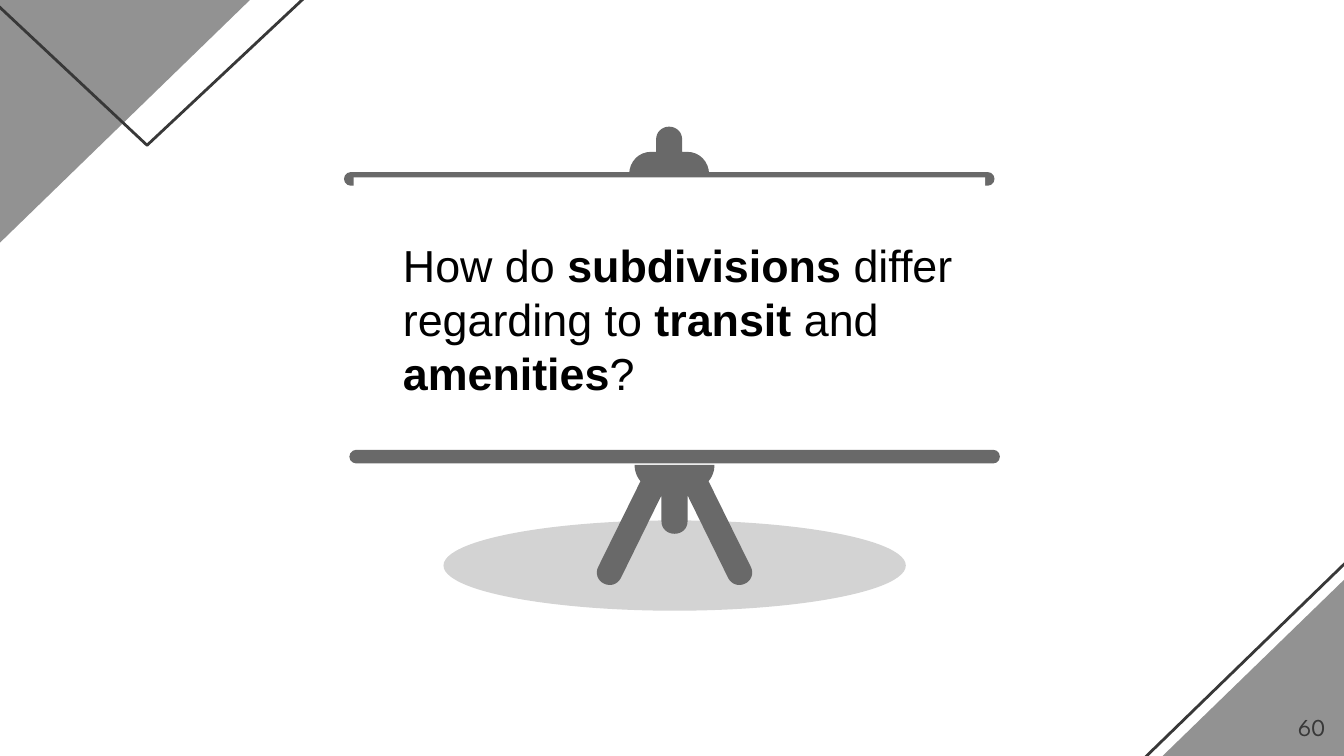
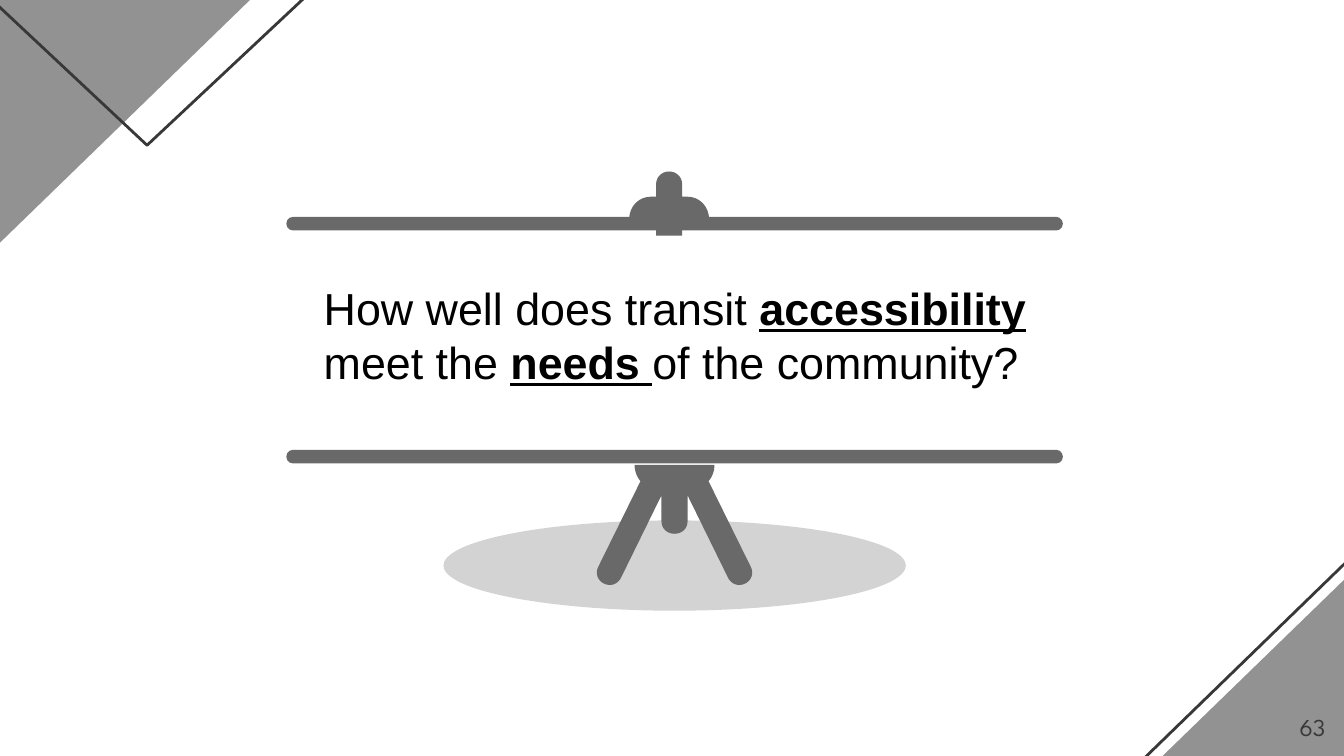
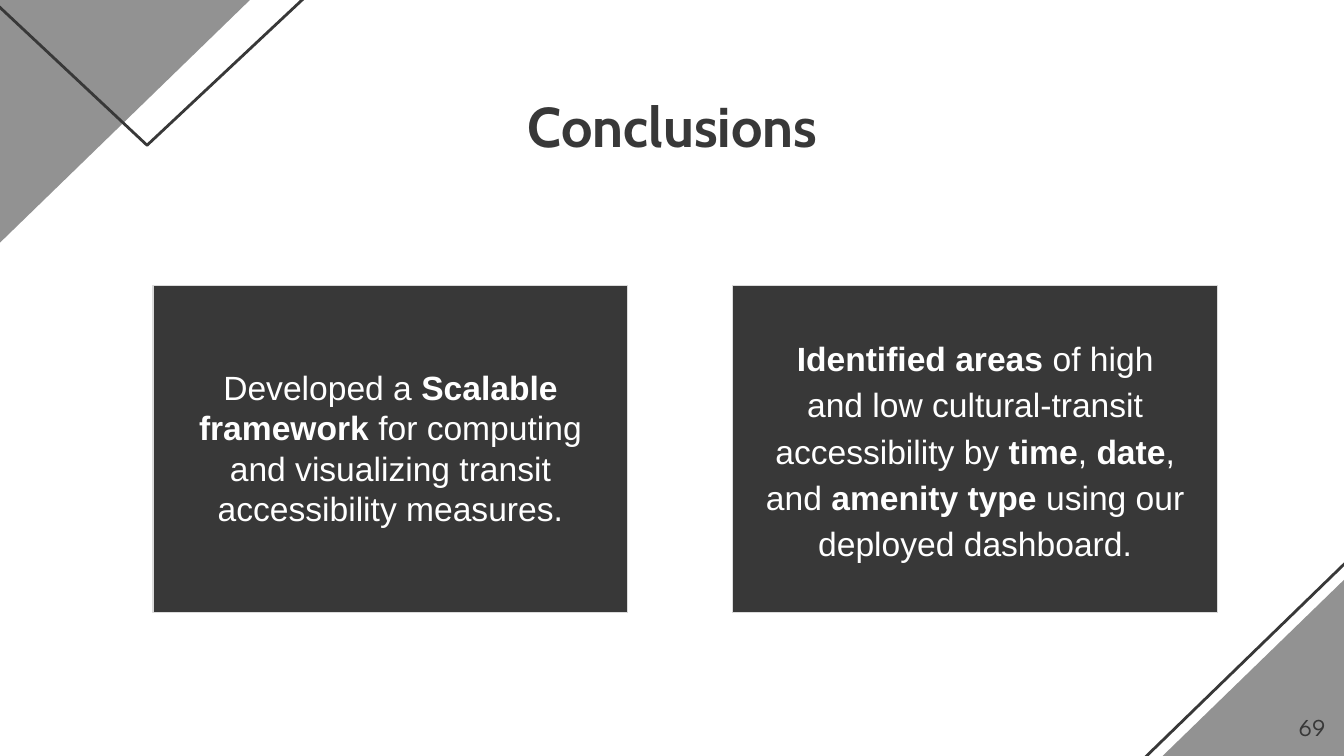
import dataclasses

import lxml.etree
import pptx
import pptx.dml.color
import pptx.enum.shapes
import pptx.enum.text
import pptx.oxml.ns
import pptx.util

Pt = pptx.util.Pt
RGB = pptx.dml.color.RGBColor.from_string
SHAPE = pptx.enum.shapes.MSO_SHAPE
ALIGN = pptx.enum.text.PP_ALIGN
ANCHOR = pptx.enum.text.MSO_ANCHOR
FIT = pptx.enum.text.MSO_AUTO_SIZE


@dataclasses.dataclass(frozen=True)
class Theme:
    dark: str = "383838"
    corner: str = "929292"
    stand: str = "696969"
    ground: str = "D3D3D3"
    edge: str = "DBDBDB"
    white: str = "FFFFFF"
    black: str = "000000"
    title: tuple = ("Cabin", 30)
    question: tuple = ("Arial", 24)
    text: tuple = ("Arial", 18)
    number: tuple = ("League Spartan", 13)


theme = Theme()
BOLD = {"bold": True}
KEY = {"bold": True, "underline": True}


def paint(sp, fill=None, line=None, width=1.5):
    """Set fill and outline; None leaves the part empty."""
    sp.shadow.inherit = False
    if fill:
        sp.fill.solid()
        sp.fill.fore_color.rgb = RGB(fill)
    else:
        sp.fill.background()
    if line:
        sp.line.color.rgb = RGB(line)
        sp.line.width = Pt(width)
    else:
        sp.line.fill.background()


def write(sp, box, runs, font, color, align=ALIGN.LEFT, anchor=ANCHOR.TOP, fit=FIT.NONE, spacing=1.0):
    """Place a text shape and fill its one paragraph with (text, format) runs."""
    sp.left, sp.top, sp.width, sp.height = map(Pt, box)
    tf = sp.text_frame
    frame = {"word_wrap": True, "auto_size": fit, "vertical_anchor": anchor}
    frame.update({f"margin_{side}": Pt(7.2) for side in ("left", "top", "right", "bottom")})
    for name, value in frame.items():
        setattr(tf, name, value)
    p = tf.paragraphs[0]
    pPr = p._p.get_or_add_pPr()
    pPr.set("marL", "0")
    pPr.set("indent", "0")
    lxml.etree.SubElement(pPr, pptx.oxml.ns.qn("a:buNone"))
    for name, value in {"alignment": align, "space_before": Pt(0), "line_spacing": spacing}.items():
        setattr(p, name, value)
    for text, style in runs:
        r = p.add_run()
        r.text = text
        for name, value in {"name": font[0], "size": Pt(font[1]), "bold": False, **style}.items():
            setattr(r.font, name, value)
        r.font.color.rgb = RGB(color)


# Corner decoration: shape, box, rotation, fill, line
corners = [
    (SHAPE.RIGHT_TRIANGLE, (553, 204.5, 267.8, 260), 0, None, theme.dark),
    (SHAPE.RIGHT_TRIANGLE, (561.6, 204.5, 267.8, 260), 0, theme.corner, None),
    (SHAPE.RIGHT_TRIANGLE, (-59.8, -72, 267.8, 260), 180, theme.corner, None),
    (SHAPE.ISOSCELES_TRIANGLE, (-132.5, -120.2, 422.6, 198), 180, None, theme.dark),
]

# Right halves of the stand's outlines, x from the axis; six numbers make a curve
knob = [
    (0, -24.3), (3.9, -24.3, 7, -21.3, 7, -17.4), (7, -10.8), (9.7, -10.8),
    (16.2, -10.8, 21.4, -5.6, 21.4, 1.2), (7, 1.2), (7, 10), (0, 10),
]
legs = [
    (0, 249.1), (21.4, 249.1), (21.4, 252.4, 20.2, 255.6, 18.2, 257.8), (41, 304),
    (42.5, 307.2, 41.2, 311, 38, 312.6), (34.6, 314.4, 30.6, 313.2, 28.8, 309.8),
    (7, 265.4), (7, 279.4), (7, 283.2, 3.9, 286, 0, 286),
]

# Question slides: number, top bar, bottom bar, white board, text box, runs
questions = [
    ("60", (184.3, 92.2, 348.5, 7.3), (187.2, 241, 348.5, 7.3), (189.4, 95, 338.4, 141.1),
     (208.8, 120.2, 319.7, 101.5),
     [("How do ", {}), ("subdivisions", BOLD), (" differ regarding to ", {}), ("transit", BOLD),
      (" and ", {}), ("amenities", BOLD), ("?", {})]),
    ("63", (153.4, 116.2, 416, 7.3), (153.4, 241, 416, 7.3), None,
     (166.3, 143.3, 435.6, 72.7),
     [("How well does transit ", {}), ("accessibility", KEY), (" meet the ", {}),
      ("needs ", KEY), ("of the community?", {})]),
]

prs = pptx.Presentation()
prs.slide_width, prs.slide_height = Pt(720), Pt(405)

# Slides with the shared corners and page number
for number, layout in [(q[0], 6) for q in questions] + [("69", 1)]:
    s = prs.slides.add_slide(prs.slide_layouts[layout])
    for kind, box, rotation, fill, line in corners:
        sp = s.shapes.add_shape(kind, *map(Pt, box))
        sp.rotation = rotation
        sp.element.spPr.get_or_add_xfrm().set("flipH", "1")
        paint(sp, fill, line)
    box = (673.9, 373.7, 43.2, 31)
    write(s.shapes.add_textbox(*map(Pt, box)), box, [(number, {})], theme.number, theme.dark,
          ALIGN.RIGHT, ANCHOR.MIDDLE)

# Question boards
for s, (number, top_bar, bottom_bar, board, box, runs) in zip(prs.slides, questions):
    paint(s.shapes.add_shape(SHAPE.OVAL, *map(Pt, (237.6, 278.8, 247.7, 48.4))), theme.ground)
    for bar in (top_bar, bottom_bar):
        sp = s.shapes.add_shape(SHAPE.ROUNDED_RECTANGLE, *map(Pt, bar))
        sp.adjustments[0] = 0.5
        paint(sp, theme.stand)

    # Knob and legs, each mirrored about its axis
    for axis, top, half in ((358.5, top_bar[1], knob), (361.4, 0, legs)):
        points = []
        for step in half:
            if len(step) == 2:
                points.append(step)
                continue
            x0, y0 = points[-1]
            x1, y1, x2, y2, x3, y3 = step
            for t in (i / 8 for i in range(1, 9)):
                a, b, c, d = (1 - t) ** 3, 3 * t * (1 - t) ** 2, 3 * t * t * (1 - t), t ** 3
                points.append((a * x0 + b * x1 + c * x2 + d * x3, a * y0 + b * y1 + c * y2 + d * y3))
        points += [(-x, y) for x, y in reversed(points[1:-1])]
        outline = [(Pt(axis + x), Pt(top + y)) for x, y in points]
        builder = s.shapes.build_freeform(*outline[0])
        builder.add_line_segments(outline[1:], close=True)
        paint(builder.convert_to_shape(), theme.stand)

    if board:
        paint(s.shapes.add_shape(SHAPE.RECTANGLE, *map(Pt, board)), theme.white)
    write(s.shapes.add_textbox(*map(Pt, box)), box, runs, theme.question, theme.black,
          fit=FIT.SHAPE_TO_FIT_TEXT)

# Conclusions: two dark panels with text on top
s = prs.slides[2]
for left, width in ((82, 254.2), (392.4, 259.9)):
    sp = s.shapes.add_shape(SHAPE.RECTANGLE, *map(Pt, (left, 153, width, 175.3)))
    paint(sp, theme.dark, theme.edge, 0.75)

title, body = s.placeholders
for sp in (title, body):
    s.shapes._spTree.append(sp.element)
write(title, (70.6, 41.8, 579.6, 41.8), [("Conclusions", BOLD)], theme.title, theme.dark, ALIGN.CENTER)

box = (87.1, 189.4, 244.1, 101.5)
write(s.shapes.add_textbox(*map(Pt, box)), box,
      [("Developed a ", {}), ("Scalable framework ", BOLD),
       ("for computing and visualizing transit accessibility measures.", {})],
      theme.text, theme.white, ALIGN.CENTER, fit=FIT.SHAPE_TO_FIT_TEXT)
write(body, (402.5, 170.6, 239.8, 140.4),
      [("Identified areas", BOLD), (" of high and low cultural-transit accessibility by ", {}),
       ("time", BOLD), (", ", {}), ("date", BOLD), (", and ", {}), ("amenity type", BOLD),
       (" using our deployed dashboard.", {})],
      theme.text, theme.white, ALIGN.CENTER, spacing=1.15)

prs.save("out.pptx")
